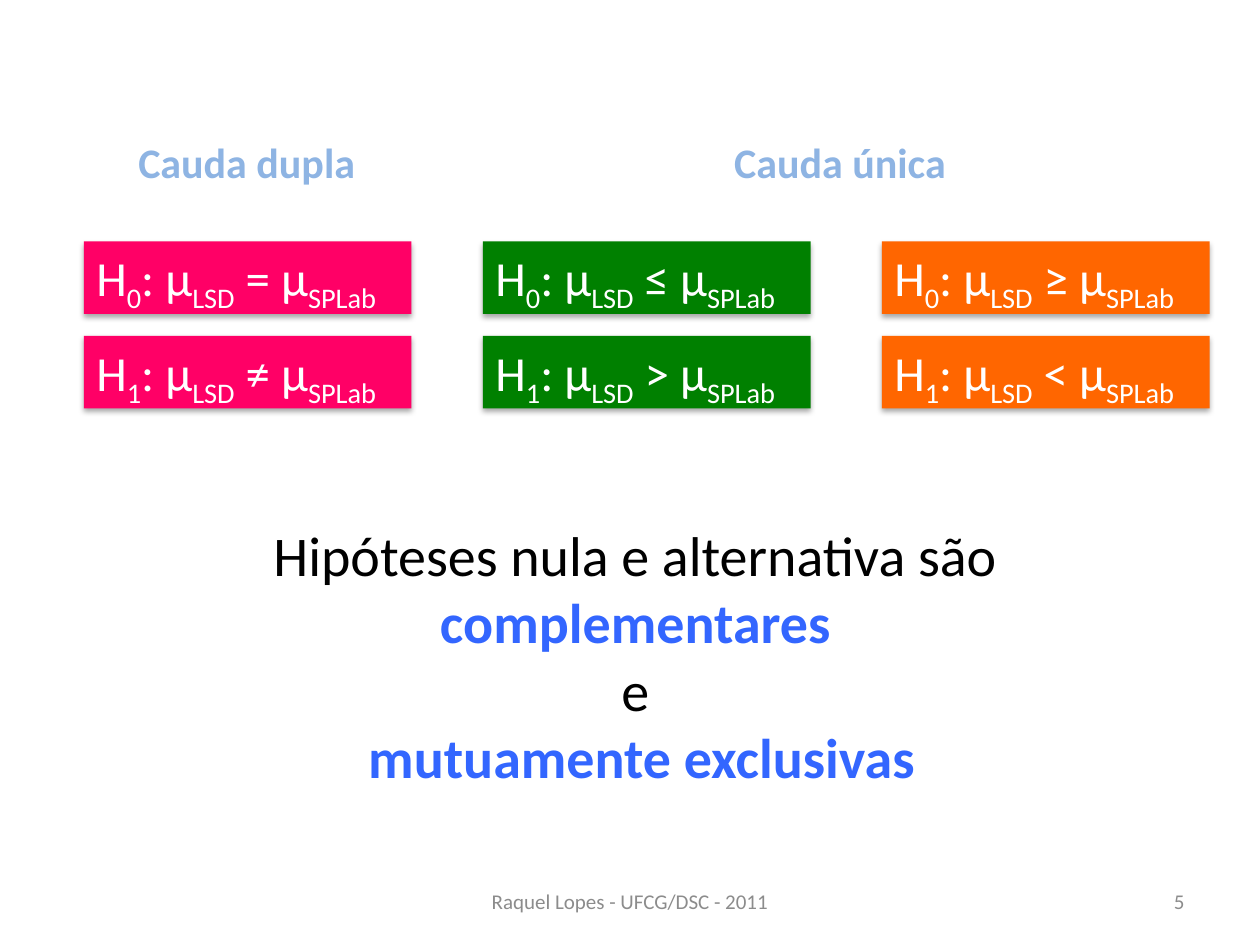
from pptx import Presentation
from pptx.dml.color import RGBColor
from pptx.enum.shapes import MSO_SHAPE
from pptx.enum.text import MSO_ANCHOR, PP_ALIGN
from pptx.oxml import parse_xml
from pptx.oxml.ns import nsdecls
from pptx.util import Pt

COLOURS = {
    "heading": "8EB4E3", "footer": "8C8C8C", "black": "000000",
    "white": "FFFFFF", "emphasis": "3366FF", "pink": "FF0066",
    "green": "008000", "orange": "FF6600",
}
TESTS = [("pink", "=", "≠"), ("green", "≤", ">"), ("orange", "≥", "<")]
HYPOTHESIS_WIDTH, HYPOTHESIS_HEIGHT = 187.2, 41.4
COLUMN_STEP, ROW_STEP = 228, 54
SHADOW = (
    f'<a:effectLst {nsdecls("a")}><a:outerShdw blurRad="{Pt(3.1)}" '
    f'dist="{Pt(1.8)}" dir="5400000" rotWithShape="0">'
    '<a:srgbClr val="000000"><a:alpha val="35000"/></a:srgbClr>'
    '</a:outerShdw></a:effectLst>'
)


def colour(name):
    return RGBColor.from_string(COLOURS[name])


def add_span(para, text, size, tint, bold=False, baseline=0):
    span = para.add_run()
    span.text = text
    formats = {"name": "Calibri", "size": Pt(size), "bold": bold}
    for key, value in formats.items():
        setattr(span.font, key, value)
    span.font.color.rgb = colour(tint)
    if baseline:
        span._r.get_or_add_rPr().set("baseline", str(baseline * 1000))


def add_label(page, box, text, size, tint, align, anchor, bold=False):
    label = page.shapes.add_textbox(*map(Pt, box))
    formats = {"word_wrap": True, "vertical_anchor": anchor}
    for key, value in formats.items():
        setattr(label.text_frame, key, value)
    para = label.text_frame.paragraphs[0]
    para.alignment = align
    add_span(para, text, size, tint, bold)


def add_panel(page, box, fill, wrap):
    panel = page.shapes.add_shape(MSO_SHAPE.RECTANGLE, *map(Pt, box))
    panel.shadow.inherit = False
    panel.fill.solid()
    panel.fill.fore_color.rgb = colour(fill)
    panel.line.fill.background()
    formats = {"word_wrap": wrap, "vertical_anchor": MSO_ANCHOR.TOP}
    for key, value in formats.items():
        setattr(panel.text_frame, key, value)
    return panel


def add_hypothesis(page, box, fill, index, sign):
    panel = add_panel(page, box, fill, True)
    properties = panel._element.spPr
    properties.replace(properties.find("{*}effectLst"), parse_xml(SHADOW))
    para = panel.text_frame.paragraphs[0]
    para.alignment = PP_ALIGN.LEFT
    terms = [("H", str(index)), (": μ", "LSD"), (f" {sign} μ", "SPLab")]
    for symbol, subscript in terms:
        add_span(para, symbol, 28, "white")
        add_span(para, subscript, 28, "white", baseline=-25)


def add_tests(page, left, top):
    for column, (fill, *signs) in enumerate(TESTS):
        for row, sign in enumerate(signs):
            box = (left + column * COLUMN_STEP, top + row * ROW_STEP,
                   HYPOTHESIS_WIDTH, HYPOTHESIS_HEIGHT)
            add_hypothesis(page, box, fill, row, sign)


def add_conclusion(page, box):
    panel = add_panel(page, box, "white", False)
    lines = [("Hipóteses nula e alternativa são ", False),
             ("complementares ", True), ("e ", False),
             ("mutuamente exclusivas", True)]
    frame = panel.text_frame
    for number, (text, strong) in enumerate(lines):
        para = frame.add_paragraph() if number else frame.paragraphs[0]
        para.alignment = PP_ALIGN.CENTER
        add_span(para, text, 32, "emphasis" if strong else "black", strong)


def add_headings(page, top, height):
    for left, width, text in [(48, 186, "Cauda dupla"), (276, 408, "Cauda única")]:
        add_label(page, (left, top, width, height), text, 24, "heading",
                  PP_ALIGN.CENTER, MSO_ANCHOR.BOTTOM, True)


def add_footer(page, top, height):
    parts = [(246, 228, "Raquel Lopes - UFCG/DSC - 2011", PP_ALIGN.CENTER),
             (516, 168, "5", PP_ALIGN.RIGHT)]
    for left, width, text, align in parts:
        add_label(page, (left, top, width, height), text, 12, "footer",
                  align, MSO_ANCHOR.MIDDLE)


deck = Presentation()
deck.slide_width, deck.slide_height = Pt(720), Pt(540)
page = deck.slides.add_slide(deck.slide_layouts[6])
add_headings(page, 60, 50.4)
add_footer(page, 500.5, 28.75)
add_conclusion(page, (150, 294, 433.4, 162.8))
add_tests(page, 48, 138)
deck.save("out.pptx")
